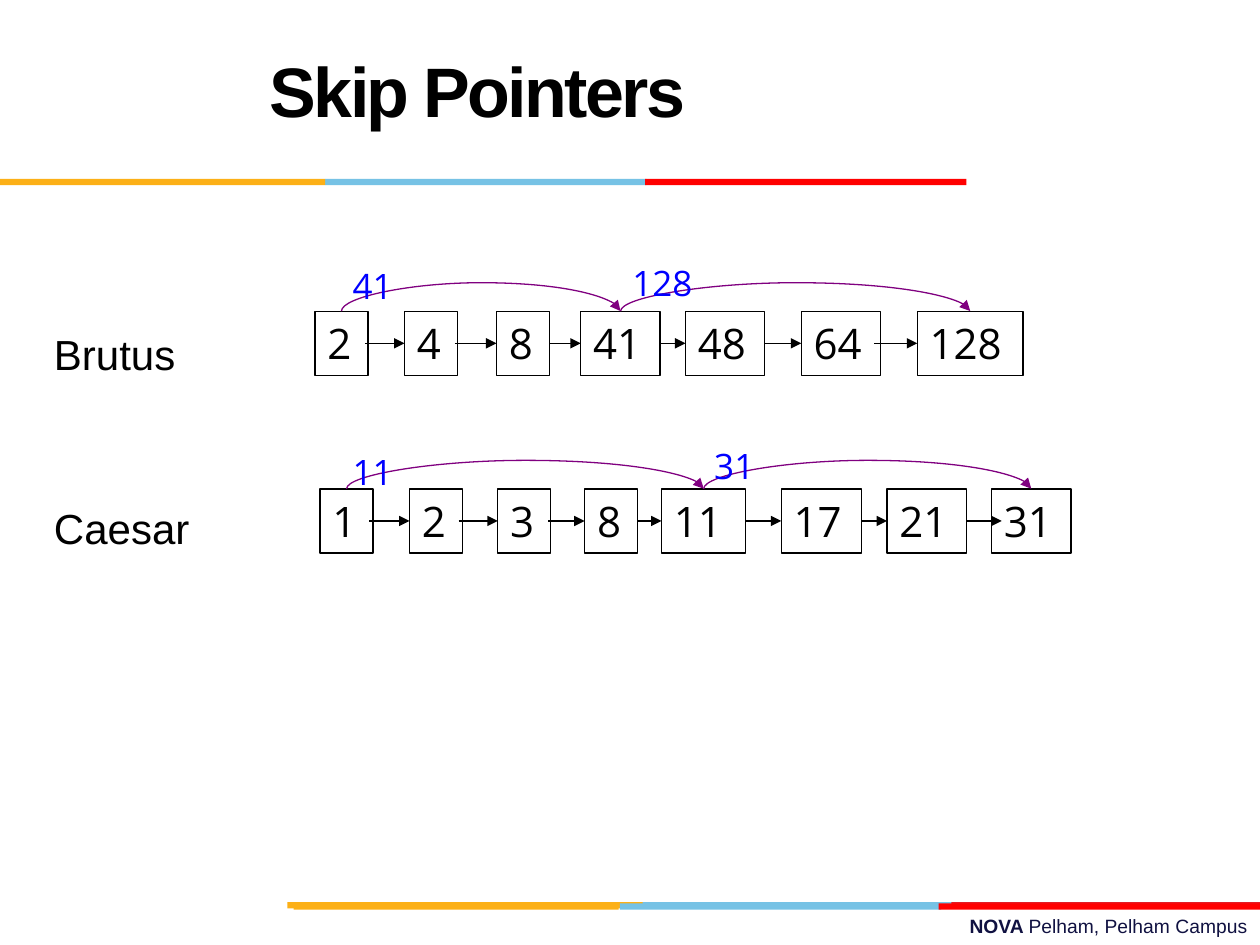
"""Build a slide showing skip pointers over two postings lists."""
from itertools import pairwise

from lxml.etree import SubElement
from pptx import Presentation
from pptx.dml.color import RGBColor
from pptx.enum.shapes import MSO_CONNECTOR as Connector, MSO_SHAPE as Shape
from pptx.enum.text import MSO_ANCHOR as Anchor, PP_ALIGN as Align
from pptx.oxml.ns import qn
from pptx.util import Emu, Inches, Pt

COLORS = {
    "text": "000000", "footer": "101141", "label": "0000FF", "skip": "800080",
    "orange": "FCB017", "blue": "76C2E5", "crimson": "E31C24", "red": "FF0000",
}
BARS = [
    (7.16, [("blue", 5.06, 2.55), ("crimson", 7.55, 2.45), ("orange", 2.28, 2.82)]),
    (7.17, [("blue", 4.92, 2.55), ("orange", 2.33, 2.58), ("red", 7.45, 2.55)]),
    (1.42, [("blue", 2.58, 2.55), ("orange", 0, 2.58), ("red", 5.12, 2.55)]),
]
POSTINGS = [
    {
        "term": "Brutus", "term_top": 2.56, "top": 2.47,
        "nodes": [("2", 2.5, 0.42), ("4", 3.21, 0.42), ("8", 3.94, 0.42), ("41", 4.61, 0.63),
                  ("48", 5.44, 0.63), ("64", 6.36, 0.63), ("128", 7.28, 0.84)],
        "insets": [(0.02, 0), (0.02, 0), (0, 0), (0, 0), (0, 0), (0.05, 0)],
        "skips": [0, 3, 6],
        "labels": [("41", 2.7, 2.05, 0.56), ("128", 4.92, 2.03, 0.73)],
    },
    {
        "term": "Caesar", "term_top": 3.94, "top": 3.88,
        "nodes": [("1", 2.54, 0.42), ("2", 3.25, 0.42), ("3", 3.95, 0.42), ("8", 4.64, 0.42),
                  ("11", 5.25, 0.67), ("17", 6.2, 0.64), ("21", 7.04, 0.63), ("31", 7.87, 0.63)],
        "insets": [(0.03, 0), (0.03, 0), (0.02, 0), (0, 0), (0, 0), (0, 0), (0, 0.08)],
        "skips": [0, 4, 7],
        "labels": [("11", 2.7, 3.53, 0.56), ("31", 5.57, 3.48, 0.55)],
    },
]
NODE_HEIGHT = 0.51
SKIP_RISE = 0.25


class SlideBuilder:
    """Hold the style and the current slide."""

    def __init__(self, slide, colors):
        self.slide = slide
        self.colors = colors

    def color(self, name):
        """Return a named colour."""
        return RGBColor.from_string(self.colors[name])

    def style_font(self, paragraph, size, face, color, bold=None):
        """Set the font of a whole paragraph."""
        font = paragraph.font
        font.size, font.name, font.bold = Pt(size), face, bold
        font.color.rgb = self.color(color)

    def text(self, text, left, top, width, height, size, face="Arial", color="text", bold=None):
        """Add a wrapping text box."""
        box = self.slide.shapes.add_textbox(Inches(left), Inches(top), Inches(width), Inches(height))
        box.text_frame.word_wrap = True
        paragraph = box.text_frame.paragraphs[0]
        paragraph.add_run().text = text
        self.style_font(paragraph, size, face, color, bold)
        return box

    def bar(self, color, left, top, width, height=0.05):
        """Add a plain coloured bar."""
        shape = self.slide.shapes.add_shape(
            Shape.RECTANGLE, Inches(left), Inches(top), Inches(width), Inches(height))
        shape.shadow.inherit = False
        shape.fill.solid()
        shape.fill.fore_color.rgb = self.color(color)
        shape.line.fill.background()

    def node(self, text, left, top, width):
        """Add an outlined posting."""
        shape = self.slide.shapes.add_shape(
            Shape.RECTANGLE, Inches(left), Inches(top), Inches(width), Inches(NODE_HEIGHT))
        shape.shadow.inherit = False
        shape.fill.background()
        shape.line.color.rgb = self.color("text")
        shape.line.width = Pt(0.75)
        frame = shape.text_frame
        frame.word_wrap, frame.vertical_anchor = True, Anchor.TOP
        paragraph = frame.paragraphs[0]
        paragraph.text, paragraph.alignment = text, Align.LEFT
        self.style_font(paragraph, 24, "Open Sans", "text")
        return shape

    def connector(self, kind, start, end, color):
        """Add a connector with an arrowhead at its end."""
        line = self.slide.shapes.add_connector(kind, *start, *end)
        line.line.color.rgb = self.color(color)
        line.line.width = Pt(0.75)
        SubElement(line.line._get_or_add_ln(), qn("a:tailEnd"), type="triangle")
        SubElement(line._element.spPr, qn("a:effectLst"))
        return line

    def arrow(self, source, target, start_inset, end_inset):
        """Point from one posting to the next."""
        middle = source.top + source.height // 2
        start = source.left + source.width - Inches(start_inset)
        end = target.left + Inches(end_inset)
        line = self.connector(Connector.STRAIGHT, (start, middle), (end, middle), "text")
        if not start_inset:
            line.begin_connect(source, 3)
        if not end_inset:
            line.end_connect(target, 1)

    def skip(self, source, target):
        """Arch a skip pointer from the top of one posting to another."""
        start, end = (node.left + node.width // 2 for node in (source, target))
        top, span, depth = source.top, end - start, Emu(1588)
        line = self.connector(Connector.CURVE, (start, top), (end, top), "skip")
        line.left, line.top = Emu((start + end - depth) // 2), Emu(top - span // 2)
        line.width, line.height = depth, Emu(span)
        properties = line._element.spPr
        for name, value in (("rot", "5400000"), ("flipH", "1"), ("flipV", "1")):
            properties.find(qn("a:xfrm")).set(name, value)
        adjustments = properties.find(qn("a:prstGeom")).get_or_add_avLst()
        bend = round(Inches(SKIP_RISE) / depth * 100000)
        SubElement(adjustments, qn("a:gd"), name="adj1", fmla=f"val {bend}")

    def title(self, text):
        """Add the slide title."""
        box = self.text(text, 0.33, 0.17, 6.92, 1.25, 40, bold=True)
        box.text_frame.vertical_anchor = Anchor.MIDDLE
        paragraph = box.text_frame.paragraphs[0]
        paragraph.alignment, paragraph.line_spacing = Align.CENTER, Pt(36)
        paragraph.runs[0].font._element.set("spc", "-150")

    def footer(self, name, rest):
        """Add the footer with a bold name."""
        box = self.text(name, 3.58, 7.21, 6.42, 0.29, 11, color="footer")
        paragraph = box.text_frame.paragraphs[0]
        paragraph.alignment = Align.RIGHT
        paragraph.runs[0].font.bold = True
        paragraph.add_run().text = rest

    def postings(self, term, term_top, top, nodes, insets, skips, labels):
        """Add a term with its postings, arrows and skip pointers."""
        boxes = [self.node(text, left, top, width) for text, left, width in nodes]
        for (source, target), inset in zip(pairwise(boxes), insets):
            self.arrow(source, target, *inset)
        for source, target in pairwise(skips):
            self.skip(boxes[source], boxes[target])
        for text, left, label_top, width in labels:
            self.text(text, left, label_top, width, 0.44, 20, "Open Sans", "label")
        self.text(term, 0.33, term_top, 1.42, 0.5, 24)


def main():
    """Build and save the presentation."""
    presentation = Presentation()
    presentation.slide_width, presentation.slide_height = Inches(10), Inches(7.5)
    slide = presentation.slides.add_slide(presentation.slide_layouts[6])
    builder = SlideBuilder(slide, COLORS)
    builder.footer("NOVA ", "Pelham, Pelham Campus")
    for top, segments in BARS:
        for color, left, width in segments:
            builder.bar(color, left, top, width)
    for row in POSTINGS:
        builder.postings(**row)
    builder.title("Skip Pointers")
    presentation.save("out.pptx")


if __name__ == "__main__":
    main()
